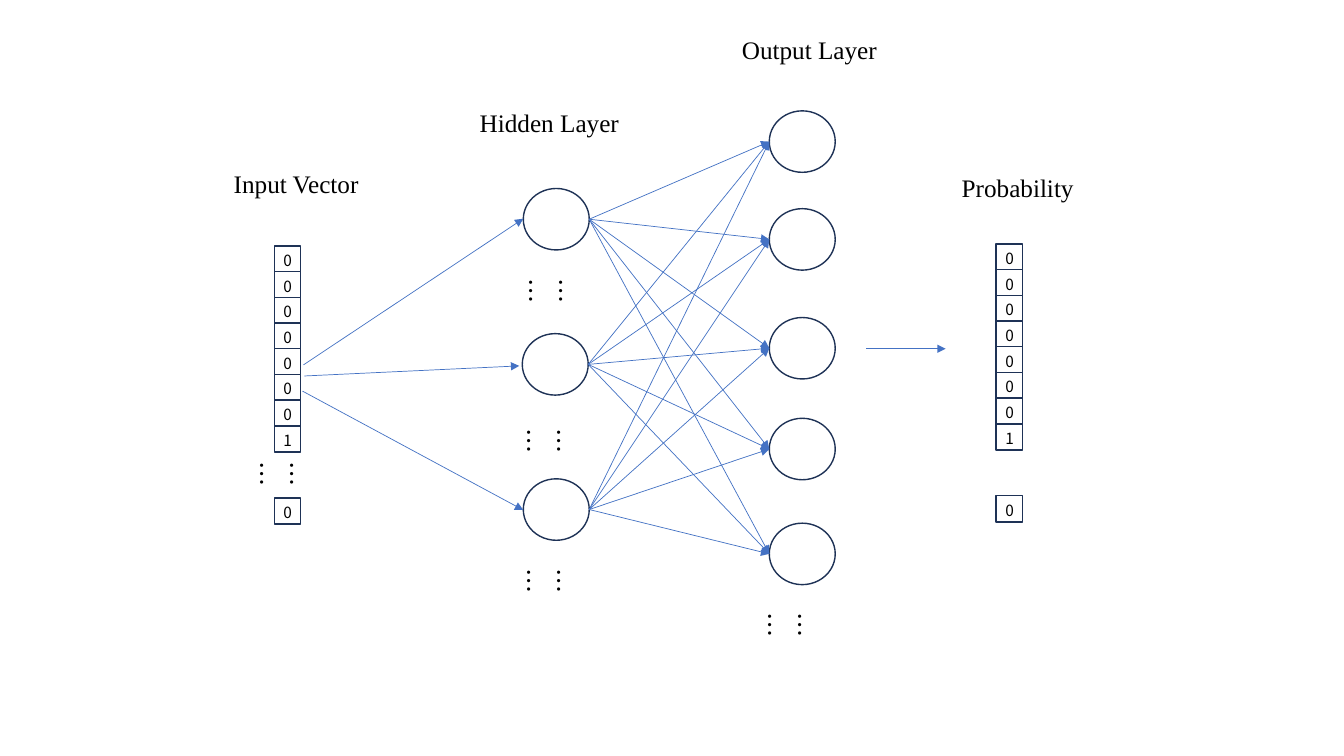
"""Draw a neural network from input vector to output probability."""
from lxml import etree
from pptx import Presentation, util as u
from pptx.dml.color import RGBColor
from pptx.enum import shapes, text
from pptx.oxml.ns import qn

deck = Presentation()
deck.slide_width, deck.slide_height = u.Inches(13.33), u.Inches(7.5)
slide = deck.slides.add_slide(deck.slide_layouts[6])
grid = deck.slide_height / 75
sans, serif = "Noto Sans CJK SC", "Times New Roman"


def at(*spots):
    """Turn grid columns and rows into lengths."""
    return [round(spot * grid) for spot in spots]


def hue(code):
    """Turn a hex string into a colour."""
    return RGBColor.from_string(code)


cell, step = 2.6, 2.55
wide, high = 6.54, 6.1
stacks = [(27.2, 24.4), (98.8, 24.2)]
slots = [*range(8), 9.8]
hidden = [(51.9, 18.7), (51.8, 33.1), (51.9, 47.5)]
output = [(76.3, top) for top in (11, 20.7, 31.5, 41.5, 51.9)]

forms, labels = [], []
for left, top in stacks:
    for slot, digit in zip(slots, "000000010"):
        row = top + slot * step
        forms.append((shapes.MSO_SHAPE.RECTANGLE, left, row, cell, cell))
        labels.append((digit, left - 0.07, row, 2.9, 2.9, 11, sans))
for left, top in hidden + output:
    forms.append((shapes.MSO_SHAPE.OVAL, left, top, wide, high))

for kind, *box in forms:
    shape = slide.shapes.add_shape(kind, *at(*box))
    shape.shadow.inherit = False
    shape.fill.solid()
    shape.fill.fore_color.rgb = hue("FFFFFF")
    shape.line.color.rgb = hue("1E3256")
    shape.line.width = u.Pt(1)

arrows = [
    (30.1, 36.2, 51.9, 21.7),
    (30.2, 37.3, 51.5, 36.3),
    (30, 38.8, 51.9, 50.6),
    (85.9, 34.6, 93.8, 34.6),
]
for left, top in hidden:
    for goal, row in output:
        arrows.append((left + wide, top + high / 2, goal, row + high / 2))

for ends in arrows:
    arrow = slide.shapes.add_connector(shapes.MSO_CONNECTOR.STRAIGHT, *at(*ends))
    arrow.line.color.rgb = hue("4472C4")
    arrow.line.width = u.Pt(0.5)
    etree.SubElement(arrow.line._get_or_add_ln(), qn("a:tailEnd"), type="triangle")
    etree.SubElement(arrow._element.spPr, qn("a:effectLst"))

for left, top in [(26, 44.8), (52.7, 26.6), (52.5, 41.5), (52.5, 55.4), (76.4, 59.8)]:
    labels.append(("……", left, top, 5, 5.1, 18, sans))
labels += [
    ("Input Vector", 22.2, 16.2, 17.7, 4, 18, serif),
    ("Hidden Layer", 46.6, 10.2, 17.7, 4, 18, serif),
    ("Output Layer", 72.6, 2.9, 17.7, 4, 18, serif),
    ("Probability", 94.4, 16.6, 14.3, 4, 18, serif),
]
for words, *box, size, face in labels:
    frame = slide.shapes.add_textbox(*at(*box)).text_frame
    frame.word_wrap = True
    frame.auto_size = text.MSO_AUTO_SIZE.SHAPE_TO_FIT_TEXT
    if words == "……":
        frame._txBody.bodyPr.set("vert", "eaVert")
    frame.text = words
    run = frame.paragraphs[0].runs[0]
    run.font.size = u.Pt(size)
    run.font.name = face
    run.font.color.rgb = hue("000000")
    etree.SubElement(run.font._element, qn("a:ea"), typeface=face)

deck.save("out.pptx")
